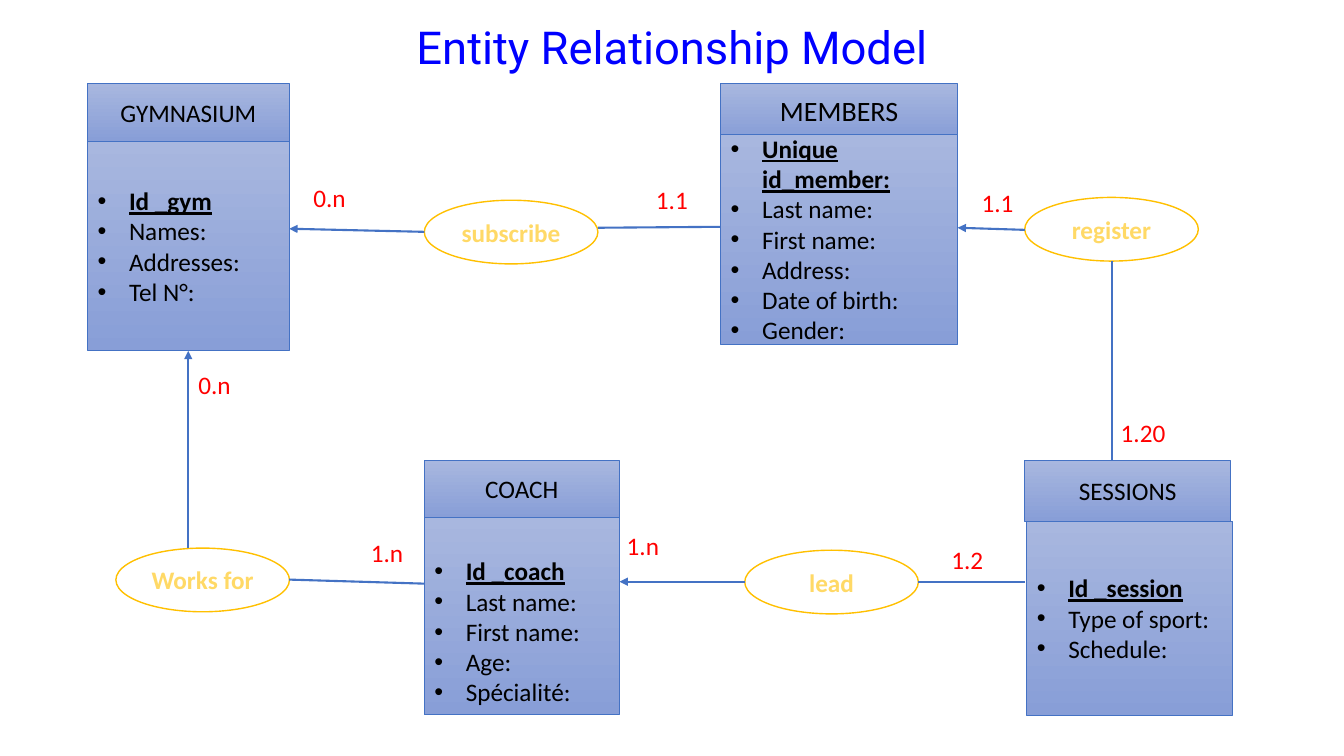
"""Build the entity relationship model slide of a gymnasium."""
from dataclasses import dataclass

import pptx
import pptx.dml.color
import pptx.enum.shapes
import pptx.enum.text
import pptx.oxml.ns
import pptx.util
from lxml import etree

Pt = pptx.util.Pt
RGBColor = pptx.dml.color.RGBColor
Shape = pptx.enum.shapes.MSO_SHAPE
Align = pptx.enum.text.PP_ALIGN
Anchor = pptx.enum.text.MSO_ANCHOR
qn = pptx.oxml.ns.qn

BLACK = RGBColor(0x00, 0x00, 0x00)
WHITE = RGBColor(0xFF, 0xFF, 0xFF)
RED = RGBColor(0xFF, 0x00, 0x00)
TITLE_BLUE = RGBColor(0x00, 0x00, 0xFF)
LINE_BLUE = RGBColor(0x44, 0x72, 0xC4)
LIGHT_BLUE = RGBColor(0xA8, 0xB7, 0xDF)
MID_BLUE = RGBColor(0x88, 0x9E, 0xD7)
GOLD = RGBColor(0xFF, 0xC0, 0x00)
PALE_GOLD = RGBColor(0xFF, 0xD9, 0x66)

INSET = 3.6
INDENT = 22.5
OVAL_WIDTH, OVAL_HEIGHT = 124, 45.5

PLAIN = {"name": "Calibri", "size": Pt(18), "bold": False, "underline": False}
KEY = PLAIN | {"bold": True, "underline": True}
RELATION = PLAIN | {"bold": True}
LARGE = PLAIN | {"size": Pt(20)}
TITLE = PLAIN | {"name": "Roboto", "size": Pt(32.4)}


@dataclass(frozen=True)
class Entity:
    """A headed box whose first attribute is its key."""
    name: str
    left: float
    top: float
    width: float
    header_height: float
    body_left: float
    body_top: float
    body_height: float
    attributes: tuple[str, ...]
    header_format: dict
    extra_inset: float = 0


@dataclass(frozen=True)
class Relation:
    """An oval that names a relationship."""
    name: str
    left: float
    top: float


@dataclass(frozen=True)
class Link:
    """A straight line from start to end."""
    start: tuple[float, float]
    end: tuple[float, float]
    arrow: bool = False


@dataclass(frozen=True)
class Cardinality:
    """A red count beside a link."""
    count: str
    left: float
    top: float
    width: float = 43.2


ENTITIES = (
    Entity("GYMNASIUM", 62.6, 59.8, 144, 41, 62.6, 100.8, 149.8,
           ("Id _gym", "Names:", "Addresses:", "Tel N°:"), PLAIN),
    Entity("MEMBERS", 514.8, 59.8, 169.2, 38, 514.8, 95.8, 150,
           ("Unique id_member:", "Last name:", "First name:", "Address:",
            "Date of birth:", "Gender:"), LARGE),
    Entity("COACH", 303.1, 329, 139.2, 40.4, 303.1, 369.4, 141.1,
           ("Id _coach", "Last name:", "First name:", "Age:", "Spécialité:"),
           PLAIN, 22),
    Entity("SESSIONS", 732, 329, 147, 43.2, 733.5, 372.2, 138.5,
           ("Id _session", "Type of sport:", "Schedule:"), PLAIN),
)
RELATIONS = (
    Relation("subscribe", 303.1, 143),
    Relation("Works for", 82.8, 391.5),
    Relation("register", 732, 141),
    Relation("lead", 532, 393),
)
LINKS = (
    Link((303.1, 165.6), (206.6, 163.4), True),
    Link((732, 164.2), (684, 162.7), True),
    Link((532, 415.5), (442.5, 415.5), True),
    Link((134.5, 391.5), (134.5, 250.6), True),
    Link((427, 162.7), (514.8, 162)),
    Link((794, 186.5), (794, 329)),
    Link((732.2, 415.5), (656, 415.5)),
    Link((206.6, 414), (303.1, 416.9)),
)
CARDINALITIES = (
    Cardinality("0.n", 216.7, 126.7),
    Cardinality("1.1", 461.5, 128.2),
    Cardinality("1.1", 694.1, 130.3),
    Cardinality("1.2", 672.5, 385.2),
    Cardinality("1.n", 440.6, 375.1),
    Cardinality("1.n", 257.8, 380.2),
    Cardinality("0.n", 134.6, 259.9),
    Cardinality("1.20", 793.4, 294.5, 62),
)


def write(paragraph, text: str, font_format: dict, color: RGBColor) -> None:
    """Add one formatted run to a paragraph."""
    run = paragraph.add_run()
    run.text = text
    for attribute, value in font_format.items():
        setattr(run.font, attribute, value)
    run.font.color.rgb = color


def add_outlined(slide, kind, bounds: tuple, line_color: RGBColor, line_width: float):
    """Add a preset shape with a coloured outline and centred wrapped text."""
    outlined = slide.shapes.add_shape(kind, *map(Pt, bounds))
    outlined.shadow.inherit = False
    outlined.line.color.rgb = line_color
    outlined.line.width = Pt(line_width)
    outlined.text_frame.word_wrap = True
    outlined.text_frame.vertical_anchor = Anchor.MIDDLE
    outlined.text_frame.paragraphs[0].alignment = Align.CENTER
    return outlined


def add_panel(slide, bounds: tuple):
    """Add a rectangle shaded from light to mid blue, top to bottom."""
    panel = add_outlined(slide, Shape.RECTANGLE, bounds, LINE_BLUE, 0.5)
    panel.fill.gradient()
    panel.fill.gradient_angle = 270
    for stop, color in zip(panel.fill.gradient_stops, (LIGHT_BLUE, MID_BLUE)):
        stop.color.rgb = color
    return panel


def add_entity(slide, entity: Entity) -> None:
    """Draw the header and the bulleted attributes of an entity."""
    header = add_panel(slide, (entity.left, entity.top, entity.width, entity.header_height))
    write(header.text_frame.paragraphs[0], entity.name, entity.header_format, BLACK)
    body = add_panel(slide, (entity.body_left, entity.body_top,
                             entity.width, entity.body_height))
    frame = body.text_frame
    frame.margin_top = Pt(INSET + entity.extra_inset)
    for index, attribute in enumerate(entity.attributes):
        paragraph = frame.add_paragraph() if index else frame.paragraphs[0]
        paragraph.alignment = Align.LEFT
        properties = paragraph._p.get_or_add_pPr()
        properties.set("marL", str(Pt(INDENT)))
        properties.set("indent", str(-Pt(INDENT)))
        etree.SubElement(properties, qn("a:buFont"), typeface="Arial")
        etree.SubElement(properties, qn("a:buChar"), char="•")
        write(paragraph, attribute, PLAIN if index else KEY, BLACK)


def add_relation(slide, relation: Relation) -> None:
    """Draw a white oval with a gold outline and name."""
    bounds = (relation.left, relation.top, OVAL_WIDTH, OVAL_HEIGHT)
    oval = add_outlined(slide, Shape.OVAL, bounds, GOLD, 1)
    oval.fill.solid()
    oval.fill.fore_color.rgb = WHITE
    write(oval.text_frame.paragraphs[0], relation.name, RELATION, PALE_GOLD)


def add_link(slide, link: Link) -> None:
    """Draw a link, with an arrowhead at its end if it has one."""
    connector = slide.shapes.add_connector(
        pptx.enum.shapes.MSO_CONNECTOR.STRAIGHT, *map(Pt, link.start + link.end))
    connector.line.color.rgb = LINE_BLUE
    connector.line.width = Pt(1.5)
    if link.arrow:
        etree.SubElement(connector.line._get_or_add_ln(), qn("a:tailEnd"), type="triangle")
    etree.SubElement(connector._element.spPr, qn("a:effectLst"))


def add_label(slide, text: str, bounds: tuple, font_format: dict, color: RGBColor):
    """Add a wrapped text box and return its frame."""
    frame = slide.shapes.add_textbox(*map(Pt, bounds)).text_frame
    frame.word_wrap = True
    write(frame.paragraphs[0], text, font_format, color)
    return frame


def main() -> None:
    """Assemble and save the slide."""
    presentation = pptx.Presentation()
    presentation.slide_width, presentation.slide_height = Pt(960), Pt(540)
    slide = presentation.slides.add_slide(presentation.slide_layouts[6])
    heading = add_label(slide, "Entity Relationship Model", (120, 13.7, 720, 43.2),
                        TITLE, TITLE_BLUE)
    heading.vertical_anchor = Anchor.BOTTOM
    heading.paragraphs[0].alignment = Align.CENTER
    heading.paragraphs[0].line_spacing = 0.9
    for entity in ENTITIES:
        add_entity(slide, entity)
    for relation in RELATIONS:
        add_relation(slide, relation)
    for link in LINKS:
        add_link(slide, link)
    for mark in CARDINALITIES:
        add_label(slide, mark.count, (mark.left, mark.top, mark.width, 29), PLAIN, RED)
    presentation.save("out.pptx")


main()
